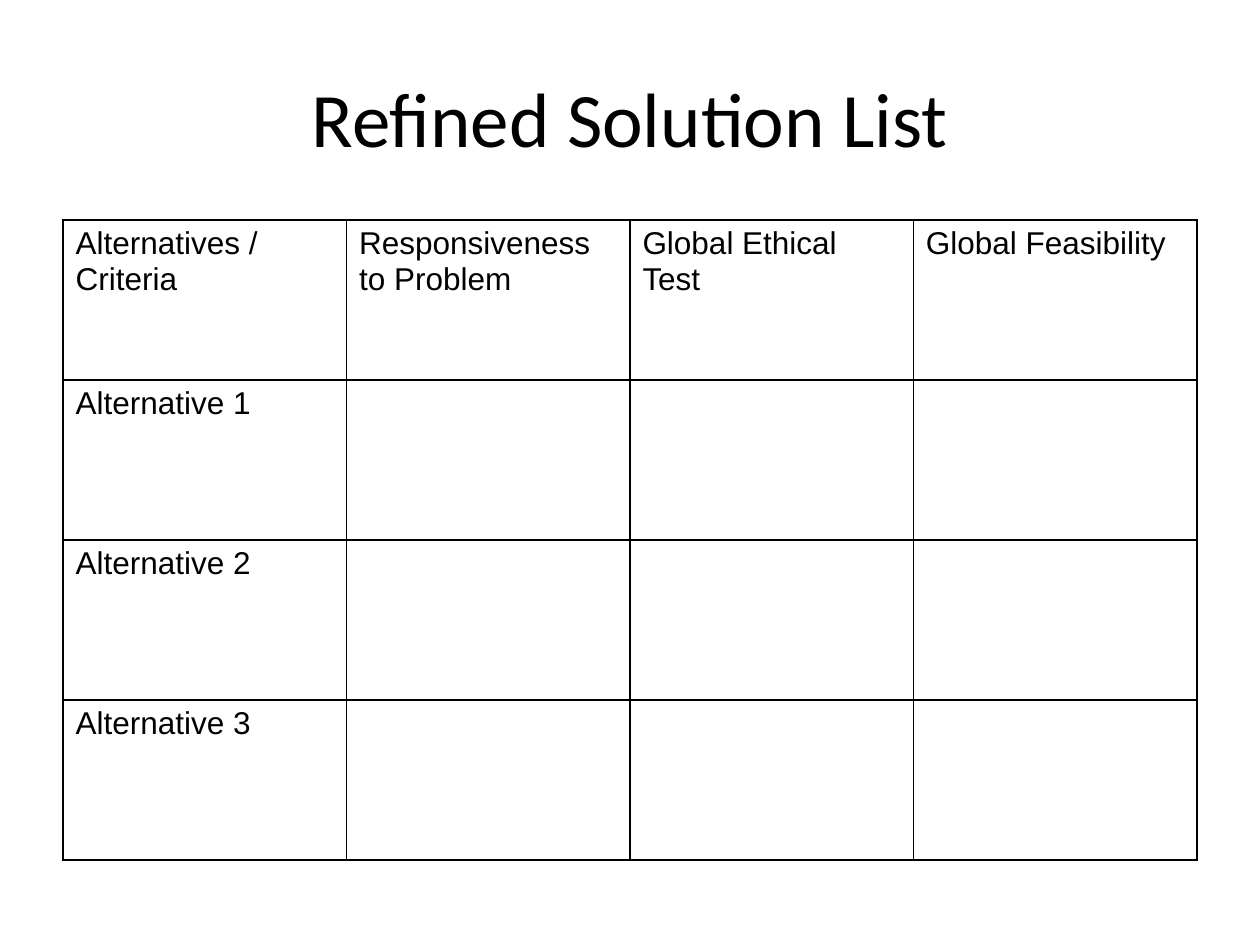
import pptx
import pptx.util
import pptx.dml.color
import pptx.enum.text
import pptx.oxml
import pptx.oxml.ns

PIXEL = 914400 // 126


def style_span(span, size, font, colour):
    span.font.size = pptx.util.Pt(size)
    span.font.name = font
    span.font.color.rgb = pptx.dml.color.RGBColor.from_string(colour)


def add_borders(cell, colour, points):
    properties = cell._tc.get_or_add_tcPr()
    for index, side in enumerate(("lnL", "lnR", "lnT", "lnB")):
        line = pptx.oxml.parse_xml(
            f'<a:{side} {pptx.oxml.ns.nsdecls("a")} w="{pptx.util.Pt(points)}">'
            f'<a:solidFill><a:srgbClr val="{colour}"/></a:solidFill></a:{side}>')
        properties.insert(index, line)


deck = pptx.Presentation()
deck.slide_width, deck.slide_height = 1260 * PIXEL, 945 * PIXEL
page = deck.slides.add_slide(deck.slide_layouts[5])

# Title
title = page.shapes.title
title.left, title.top = 63 * PIXEL, 38 * PIXEL
title.width, title.height = 1134 * PIXEL, 157 * PIXEL
title.text_frame.vertical_anchor = pptx.enum.text.MSO_ANCHOR.MIDDLE
para = title.text_frame.paragraphs[0]
para.alignment = pptx.enum.text.PP_ALIGN.CENTER
span = para.add_run()
span.text = "Refined Solution List"
style_span(span, 44, "Calibri", "000000")

# Criteria table
rows = [
    ["Alternatives / Criteria", "Responsiveness to Problem",
     "Global Ethical Test", "Global Feasibility"],
    ["Alternative 1", "", "", ""],
    ["Alternative 2", "", "", ""],
    ["Alternative 3", "", "", ""],
]
frame = page.shapes.add_table(len(rows), len(rows[0]), 63 * PIXEL, 220 * PIXEL,
                              1134 * PIXEL, 640 * PIXEL)
table = frame.table
table.first_row = False
table.horz_banding = False

for row_index, labels in enumerate(rows):
    for column_index, label in enumerate(labels):
        cell = table.cell(row_index, column_index)
        cell.fill.background()
        add_borders(cell, "000000", 1)
        if label:
            span = cell.text_frame.paragraphs[0].add_run()
            span.text = label
            style_span(span, 18, "Arial", "000000")

deck.save("out.pptx")
